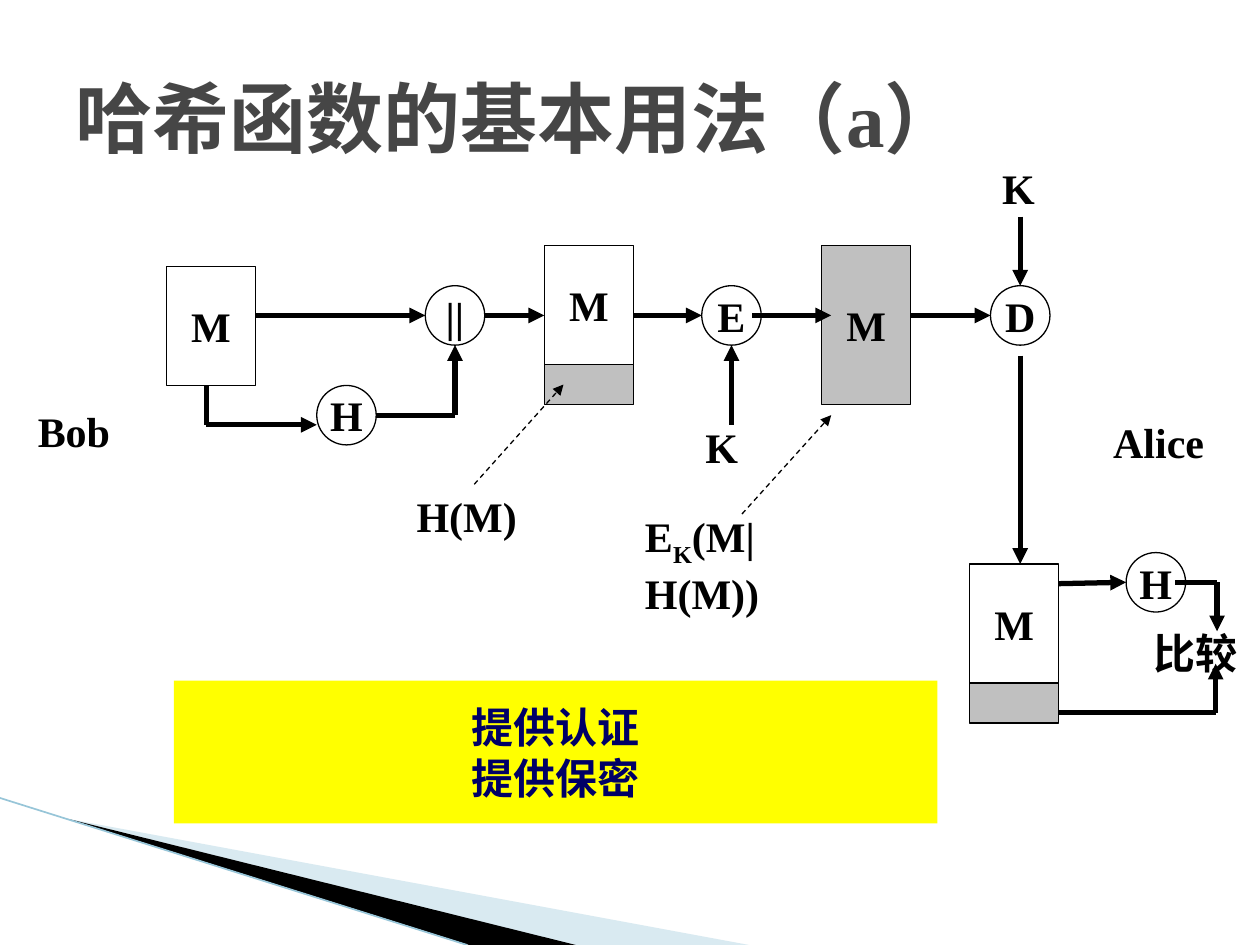
from itertools import pairwise

from lxml import etree
from pptx import Presentation
from pptx.dml.color import RGBColor
from pptx.enum.dml import MSO_LINE
from pptx.enum.shapes import MSO_CONNECTOR, MSO_SHAPE
from pptx.enum.text import MSO_ANCHOR, PP_ALIGN
from pptx.oxml.ns import qn
from pptx.util import Pt

BLACK = RGBColor(0x00, 0x00, 0x00)
WHITE = RGBColor(0xFF, 0xFF, 0xFF)
GRAY = RGBColor(0xC0, 0xC0, 0xC0)
SLATE = RGBColor(0x46, 0x46, 0x46)
NAVY = RGBColor(0x00, 0x00, 0x66)
YELLOW = RGBColor(0xFF, 0xFF, 0x00)
PALE = RGBColor(0xA0, 0xCB, 0xDC)
TEAL = RGBColor(0x97, 0xC5, 0xD8)

RECT, OVAL = MSO_SHAPE.RECTANGLE, MSO_SHAPE.OVAL
STRAIGHT, DASH = MSO_CONNECTOR.STRAIGHT, MSO_LINE.DASH
MIDDLE, LEFT, CENTER = MSO_ANCHOR.MIDDLE, PP_ALIGN.LEFT, PP_ALIGN.CENTER

TEXT = {"name": "Times New Roman", "size": Pt(24), "bold": True}
SIDE = 51      # width of a message block
BODY = 68      # height of the message part
TAG = 23       # height of the hash part
DISC = 34      # diameter of an operator
R = DISC / 2


# ---- building parts ----
def style(font, color=BLACK, **more):
    for key, val in {**TEXT, **more}.items():
        setattr(font, key, val)
    font.color.rgb = color


def block(slide, kind, box, fill, text="", color=BLACK, edge=BLACK):
    shape = slide.shapes.add_shape(kind, *map(Pt, box))
    shape.shadow.inherit = False
    shape.fill.solid()
    shape.fill.fore_color.rgb = fill
    if edge is None:
        shape.line.fill.background()
    else:
        shape.line.color.rgb = edge
        shape.line.width = Pt(0.75)
    frame = shape.text_frame
    frame.word_wrap = False
    frame.vertical_anchor = MIDDLE
    if text:
        frame.text = text
        for para in frame.paragraphs:
            para.alignment = CENTER
            style(para.font, color)


def disc(slide, x, y, text):
    """Operator circle centred on x, y."""
    block(slide, OVAL, (x - R, y - R, DISC, DISC), WHITE, text)


def pair(slide, x, y):
    """Message with its hash below."""
    block(slide, RECT, (x, y, SIDE, BODY), WHITE, "M")
    block(slide, RECT, (x, y + BODY, SIDE, TAG), GRAY)


def wire(slide, *spots, width=3, color=BLACK, dash=None, head=True):
    """Straight pieces through the spots, with an arrowhead at the end."""
    for start, end in pairwise(spots):
        line = slide.shapes.add_connector(STRAIGHT, *map(Pt, start + end))
        line.line.width = Pt(width)
        line.line.color.rgb = color
        if dash:
            line.line.dash_style = dash
        if head and end == spots[-1]:
            ln = line.line._get_or_add_ln()
            etree.SubElement(ln, qn("a:tailEnd"), type="triangle")
        etree.SubElement(line._element.spPr, qn("a:effectLst"))


def label(slide, x, y, width, *parts):
    """Text whose second part, if any, is a subscript."""
    box = slide.shapes.add_textbox(Pt(x), Pt(y), Pt(width), Pt(36))
    box.text_frame.word_wrap = True
    para = box.text_frame.paragraphs[0]
    for i, part in enumerate(parts):
        run = para.add_run()
        run.text = part
        style(run.font)
        if i == 1:
            run.font._element.set("baseline", "-25000")


# ---- regions ----
def wedge(slide, x, y):
    """Decoration in the lower left corner."""
    for ends, fill, alpha in (((428, 328), PALE, 40), ((329, 268), BLACK, 100)):
        form = slide.shapes.build_freeform(Pt(x + 39), Pt(y + 12))
        form.add_line_segments([(Pt(x + end), Pt(y + 84)) for end in ends])
        shape = form.convert_to_shape()
        shape.shadow.inherit = False
        shape.line.fill.background()
        shape.fill.solid()
        shape.fill.fore_color.rgb = fill
        if alpha < 100:
            tint = shape._element.spPr.find(qn("a:solidFill"))[0]
            etree.SubElement(tint, qn("a:alpha"), val=str(alpha * 1000))
    wire(slide, (x, y), (x + 267, y + 84), width=0.95, color=TEAL, head=False)


def title(slide, x, y, width, height):
    head = slide.shapes.title
    place = {"left": x, "top": y, "width": width, "height": height}
    for key, val in place.items():
        setattr(head, key, Pt(val))
    head.text_frame.text = "哈希函数的基本用法（a）"
    head.text_frame.vertical_anchor = MIDDLE
    para = head.text_frame.paragraphs[0]
    para.alignment = LEFT
    style(para.font, SLATE, size=Pt(44))


def sender(slide, x, y):
    """Bob hashes M and joins both; y is the axis of the flow."""
    hash_x, join, out = x + 103, x + 165, x + 216
    mid, low = x + 23, y + 57
    block(slide, RECT, (x, y - 28, SIDE, BODY), WHITE, "M")
    disc(slide, join, y, "||")
    disc(slide, hash_x, low, "H")
    pair(slide, out, y - 40)
    wire(slide, (x + SIDE, y), (join - R, y))
    wire(slide, (join + R, y), (out, y))
    wire(slide, (mid, y + 40), (mid, y + 62.5), (hash_x - R, y + 62.5))
    wire(slide, (hash_x + R, low), (join, low), (join, y + R))
    wire(slide, (x + 176, y + 96.5), (x + 227, y + 39.5), width=0.75, dash=DASH)
    label(slide, x + 136, y + 96.5, 102, "H(M)")
    label(slide, x - 80.5, y + 48, 102, "Bob")


def cipher(slide, x, y):
    """Encryption with K; x is the end of the sender's block."""
    enc, out = x + 56, x + 107.5
    disc(slide, enc, y, "E")
    block(slide, RECT, (out, y - 40, SIDE, BODY + TAG), GRAY, "M")
    wire(slide, (x, y), (enc - R, y))
    wire(slide, (enc, y + 62.5), (enc, y + R))
    wire(slide, (enc + 12, y), (out + 5.5, y))
    wire(slide, (x + 62, y + 113.5), (x + 113, y + 57), width=0.75, dash=DASH)
    label(slide, x + 34, y + 57, SIDE, "K")
    label(slide, x - 0.5, y + 108, 138, "E", "K", "(M|H(M))")


def receiver(slide, x, y):
    """Alice decrypts and compares; x is the end of the cipher block."""
    dec, box, top = x + 62.5, x + 33.5, y + 142
    hash_x, row, side = x + 140, y + 152.5, x + 175
    end, base = box + SIDE, y + 227
    disc(slide, dec, y, "D")
    pair(slide, box, top)
    disc(slide, hash_x, row, "H")
    wire(slide, (x, y), (dec - R, y))
    wire(slide, (dec, y - 56.5), (dec, y - R))
    wire(slide, (dec, y + 23), (dec, top))
    wire(slide, (end, row + 0.8), (hash_x - R, row))
    wire(slide, (hash_x + 11, row), (side, row), (side, row + 28))
    wire(slide, (end, base), (side - 0.8, base), (side - 0.8, base - 28))
    label(slide, x + 45, y - 91, SIDE, "K")
    label(slide, x + 131.5, y + 175, 67.5, "比较")
    label(slide, x + 108.5, y + 54, 73.5, "Alice")


def main():
    deck = Presentation()
    deck.slide_width, deck.slide_height = Pt(720), Pt(540)
    slide = deck.slides.add_slide(deck.slide_layouts[5])
    axis = 180.25
    wedge(slide, 0, 456)
    title(slide, 36, 21.6, 648, 90)
    sender(slide, 95, axis)
    cipher(slide, 362, axis)
    receiver(slide, 520.5, axis)
    # Summary of what the scheme gives
    block(slide, RECT, (99.4, 389, 436.3, 81.5), YELLOW,
          "提供认证\n提供保密", NAVY, edge=None)
    deck.save("out.pptx")


if __name__ == "__main__":
    main()
